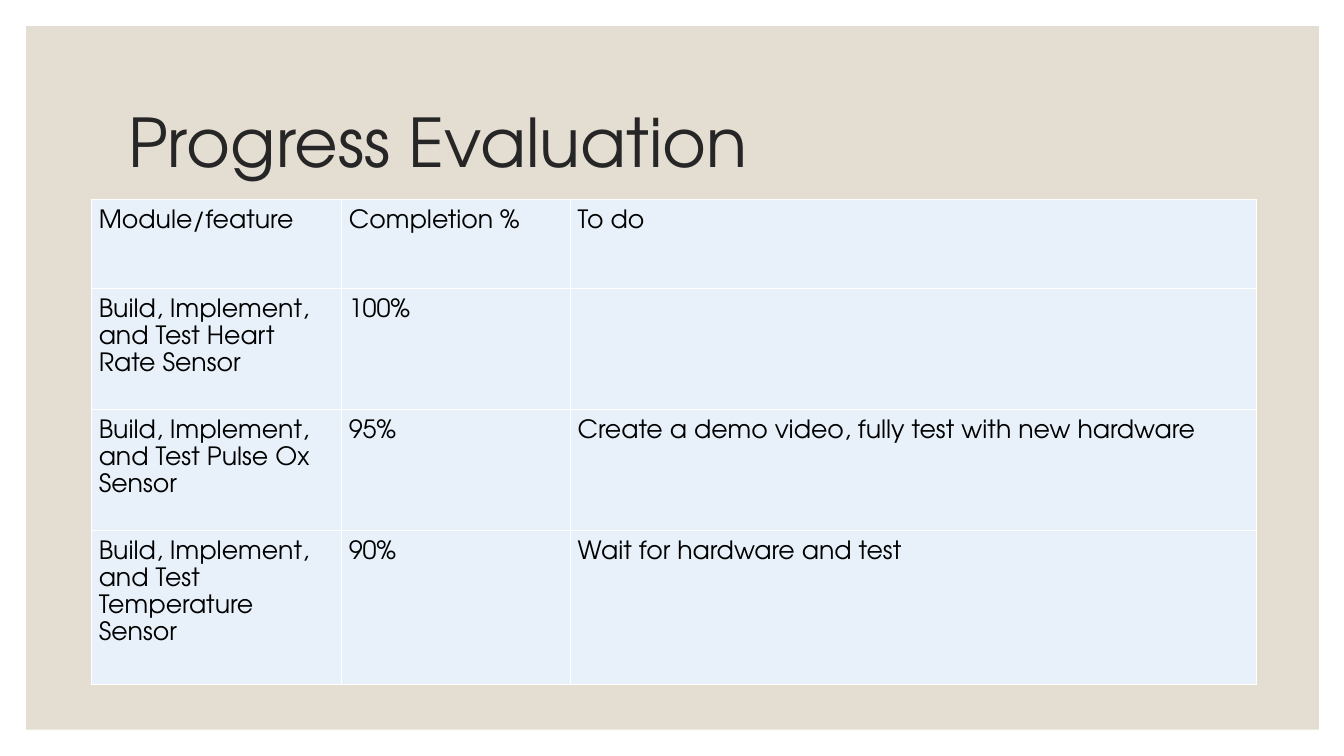
from typing import NamedTuple

import pptx
import pptx.dml.color
import pptx.enum.shapes
import pptx.enum.text
import pptx.oxml
import pptx.oxml.ns
import pptx.presentation
import pptx.slide
import pptx.table
import pptx.text.text
import pptx.util

PX_PER_INCH = 100
FONT = "TeX Gyre Adventor"
WHITE = pptx.dml.color.RGBColor(0xFF, 0xFF, 0xFF)
BLACK = pptx.dml.color.RGBColor(0x00, 0x00, 0x00)
CHARCOAL = pptx.dml.color.RGBColor(0x26, 0x26, 0x26)
SAND = pptx.dml.color.RGBColor(0xE3, 0xDE, 0xD1)
PALE_BLUE = pptx.dml.color.RGBColor(0xE8, 0xF1, 0xFA)


class Box(NamedTuple):
    left: int
    top: int
    width: int
    height: int


class ProgressRow(NamedTuple):
    height: int
    module: str
    completion: str
    to_do: str


PANEL = Box(26, 26, 1282, 698)
TITLE = Box(117, 70, 1100, 150)
TABLE_LEFT, TABLE_TOP = 91, 198
COLUMN_WIDTHS = (248, 227, 680)
CELL_INSET = 7
PROGRESS = (
    ProgressRow(88, "Module/feature", "Completion %", "To do"),
    ProgressRow(120, "Build, Implement, and Test Heart Rate Sensor", "100%", ""),
    ProgressRow(120, "Build, Implement, and Test Pulse Ox Sensor", "95%",
                "Create a demo video, fully test with new hardware"),
    ProgressRow(153, "Build, Implement, and Test Temperature Sensor", "90%",
                "Wait for hardware and test"),
)


def px(length: int) -> pptx.util.Emu:
    return pptx.util.Emu(length * pptx.util.Inches(1) // PX_PER_INCH)


def write_text(frame: pptx.text.text.TextFrame, text: str, *, size: int,
               color: pptx.dml.color.RGBColor, line_spacing: float) -> None:
    paragraph = frame.paragraphs[0]
    paragraph.alignment = pptx.enum.text.PP_ALIGN.LEFT
    paragraph.line_spacing = line_spacing
    paragraph.font.size = pptx.util.Pt(size)
    if not text:
        return
    run = paragraph.add_run()
    run.text = text
    run.font.name = FONT
    run.font.size = pptx.util.Pt(size)
    run.font.color.rgb = color


def add_panel(slide: pptx.slide.Slide) -> None:
    """Put the sand panel behind everything else on the slide."""
    panel = slide.shapes.add_shape(
        pptx.enum.shapes.MSO_SHAPE.RECTANGLE, *map(px, PANEL))
    panel.shadow.inherit = False
    panel.fill.solid()
    panel.fill.fore_color.rgb = SAND
    panel.line.fill.background()
    slide.shapes.title._element.addprevious(panel._element)


def set_title(slide: pptx.slide.Slide) -> None:
    title = slide.shapes.title
    title.left, title.top, title.width, title.height = map(px, TITLE)
    frame = title.text_frame
    frame.word_wrap = True
    frame.vertical_anchor = pptx.enum.text.MSO_ANCHOR.MIDDLE
    write_text(frame, "Progress Evaluation", size=48, color=CHARCOAL,
               line_spacing=0.9)


def set_borders(cell: pptx.table._Cell) -> None:
    properties = cell._tc.get_or_add_tcPr()
    for position, edge in enumerate(("lnL", "lnR", "lnT", "lnB")):
        border = pptx.oxml.parse_xml(
            f'<a:{edge} {pptx.oxml.ns.nsdecls("a")} w="{pptx.util.Pt(1)}">'
            f'<a:solidFill><a:srgbClr val="{WHITE}"/></a:solidFill></a:{edge}>')
        properties.insert(position, border)


def fill_cell(cell: pptx.table._Cell, text: str) -> None:
    cell.margin_left = cell.margin_right = px(CELL_INSET)
    cell.margin_top = cell.margin_bottom = px(CELL_INSET)
    cell.fill.solid()
    cell.fill.fore_color.rgb = PALE_BLUE
    set_borders(cell)
    write_text(cell.text_frame, text, size=18, color=BLACK, line_spacing=1.15)


def add_progress_table(slide: pptx.slide.Slide) -> None:
    bounds = Box(TABLE_LEFT, TABLE_TOP, sum(COLUMN_WIDTHS),
                 sum(entry.height for entry in PROGRESS))
    table = slide.shapes.add_table(
        len(PROGRESS), len(COLUMN_WIDTHS), *map(px, bounds)).table
    table.first_row = table.horz_banding = False
    for column, width in zip(table.columns, COLUMN_WIDTHS):
        column.width = px(width)
    for row, (height, *texts) in zip(table.rows, PROGRESS):
        row.height = px(height)
        for cell, text in zip(row.cells, texts):
            fill_cell(cell, text)


def main() -> None:
    presentation = pptx.Presentation()
    presentation.slide_width = px(1333)
    presentation.slide_height = px(750)
    slide = presentation.slides.add_slide(
        presentation.slide_layouts.get_by_name("Title Only"))
    slide.background.fill.solid()
    slide.background.fill.fore_color.rgb = WHITE
    add_panel(slide)
    set_title(slide)
    add_progress_table(slide)
    presentation.save("out.pptx")


if __name__ == "__main__":
    main()
